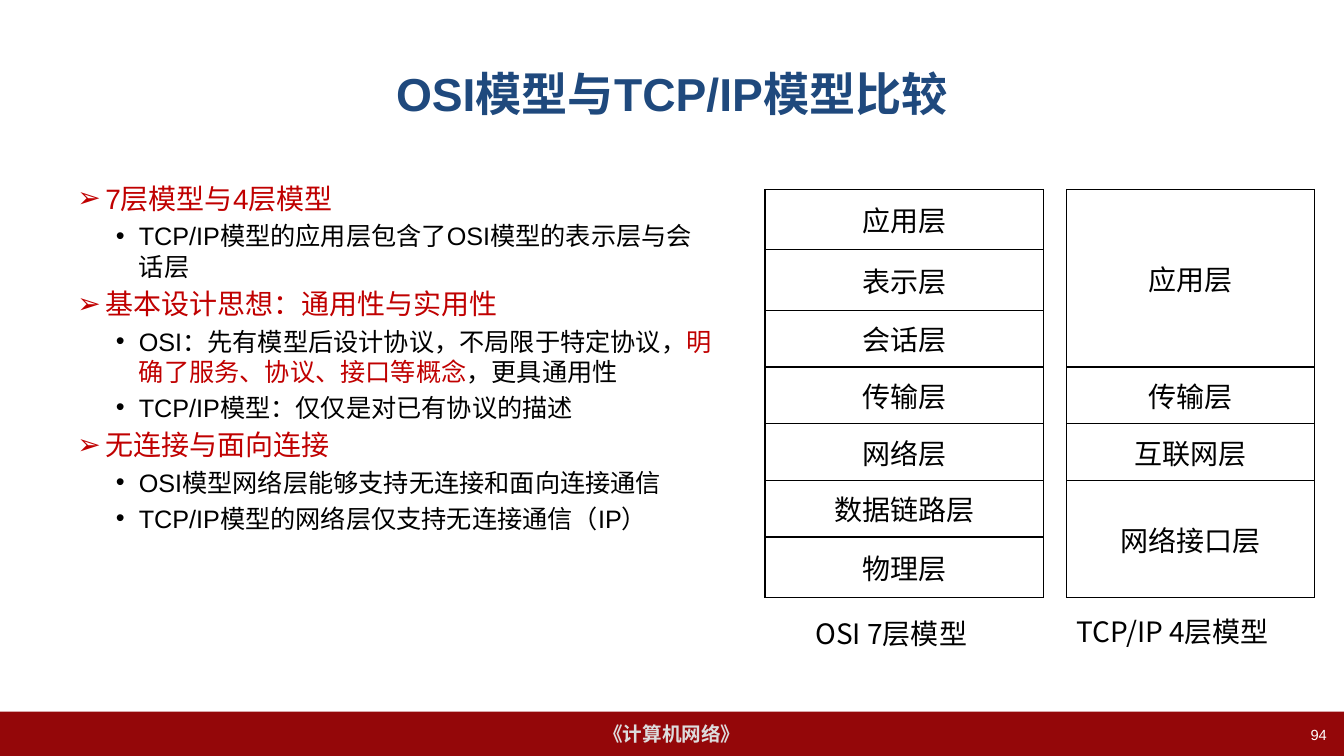
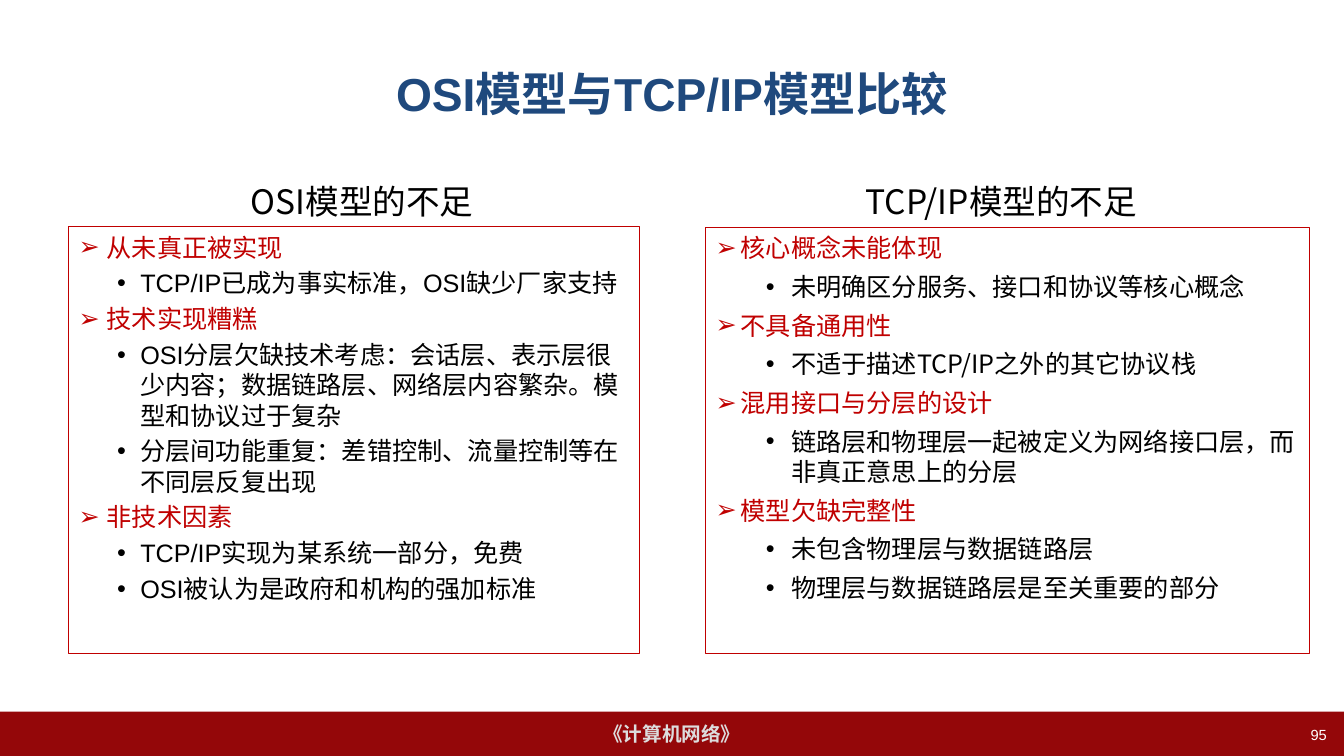
from dataclasses import dataclass
from typing import NamedTuple

from lxml.etree import SubElement
from pptx import Presentation
from pptx.dml.color import RGBColor
from pptx.enum.shapes import MSO_SHAPE
from pptx.enum.text import MSO_ANCHOR, MSO_AUTO_SIZE, PP_ALIGN
from pptx.oxml.ns import qn
from pptx.util import Pt

COLORS = {
    "band": "940709",
    "course": "DDDDDD",
    "title": "1F497D",
    "head": "C00000",
    "text": "000000",
    "page": "FFFFFF",
}
ARIAL = "Arial"
NOTO = "Noto Sans CJK SC"
WIDE, HIGH = 960, 540
LEAD = 1.2
TALL, LOW = 43.2, 40.5
TITLE = "OSI模型与TCP/IP模型比较"


class Box(NamedTuple):
    left: float
    top: float
    width: float
    height: float

    def pts(self) -> list:
        return [Pt(v) for v in self]


@dataclass
class Item:
    """A list line; text between bars is set in the head colour."""
    text: str
    level: int = 1


@dataclass
class Style:
    font: str
    sizes: tuple
    hang: tuple
    left: tuple
    gap: float


@dataclass
class Label:
    text: str
    box: Box
    size: float


@dataclass
class Stack:
    box: Box
    names: list
    rows: list


OUTLINE = Style(ARIAL, (20, 18), (20, 16.5), (20, 44), 4)
COMPACT = Style(ARIAL, (18, 18), (20, 16.5), (20, 44), 4)
ASIDE = Style(NOTO, (18, 18), (18, 18), (18, 54), 6)

COMPARE = [
    Item("7层模型与4层模型", 0),
    Item("TCP/IP模型的应用层包含了OSI模型的表示层与会话层"),
    Item("基本设计思想：通用性与实用性", 0),
    Item("OSI：先有模型后设计协议，不局限于特定协议，"
         "|明确了服务、协议、接口等概念|，更具通用性"),
    Item("TCP/IP模型：仅仅是对已有协议的描述"),
    Item("无连接与面向连接", 0),
    Item("OSI模型网络层能够支持无连接和面向连接通信"),
    Item("TCP/IP模型的网络层仅支持无连接通信（IP）"),
]
OSI_FLAWS = [
    Item("从未真正被实现", 0),
    Item("TCP/IP已成为事实标准，OSI缺少厂家支持"),
    Item("技术实现糟糕", 0),
    Item("OSI分层欠缺技术考虑：会话层、表示层很少内容；"
         "数据链路层、网络层内容繁杂。模型和协议过于复杂"),
    Item("分层间功能重复：差错控制、流量控制等在不同层反复出现"),
    Item("非技术因素", 0),
    Item("TCP/IP实现为某系统一部分，免费"),
    Item("OSI被认为是政府和机构的强加标准"),
]
TCP_FLAWS = [
    Item("核心概念未能体现", 0),
    Item("未明确区分服务、接口和协议等核心概念"),
    Item("不具备通用性", 0),
    Item("不适于描述TCP/IP之外的其它协议栈"),
    Item("混用接口与分层的设计", 0),
    Item("链路层和物理层一起被定义为网络接口层，而非真正意思上的分层"),
    Item("模型欠缺完整性", 0),
    Item("未包含物理层与数据链路层"),
    Item("物理层与数据链路层是至关重要的部分"),
]

OSI_ROWS = [TALL, TALL, LOW, LOW, LOW, LOW, TALL]
TCP_ROWS = [sum(OSI_ROWS[:3]), LOW, LOW, sum(OSI_ROWS[5:])]
STACKS = [
    Stack(Box(546.5, 135.3, 199, sum(OSI_ROWS)),
          ["应用层", "表示层", "会话层", "传输层", "网络层", "数据链路层", "物理层"],
          OSI_ROWS),
    Stack(Box(762, 135.3, 177, sum(TCP_ROWS)),
          ["应用层", "传输层", "互联网层", "网络接口层"], TCP_ROWS),
]
STACK_LABELS = [
    Label("OSI 7层模型", Box(575.3, 437, 170, 36), 20),
    Label("TCP/IP 4层模型", Box(762, 435.6, 170, 36), 20),
]
FLAW_LABELS = [
    Label("OSI模型的不足", Box(172, 126, 203, 36), 24),
    Label("TCP/IP模型的不足", Box(611.3, 126, 241.2, 36), 24),
]


def tint(key: str) -> RGBColor:
    return RGBColor.from_string(COLORS[key])


def dress(para, size: float, color: str, face: str = ARIAL,
          bold: bool = False) -> None:
    """Set the font of a whole paragraph, for Latin and Chinese text."""
    font = para.font
    font.size, font.bold = Pt(size), bold
    font.color.rgb = tint(color)
    font.name = face
    props = para._p.pPr.find(qn("a:defRPr"))
    SubElement(props, qn("a:ea")).set("typeface", NOTO)


def write(frame, text: str, size: float, color: str, face: str = ARIAL,
          align=PP_ALIGN.LEFT, bold: bool = False):
    para = frame.paragraphs[0]
    para.text = text
    para.alignment = align
    dress(para, size, color, face, bold)
    return para


def place(shape, box: Box) -> None:
    shape.left, shape.top, shape.width, shape.height = box.pts()


def add_band(slide, layout) -> None:
    """Draw the footer band and hand it to the layout."""
    band = slide.shapes.add_shape(
        MSO_SHAPE.RECTANGLE, *Box(0, 508.3, WIDE, 31.7).pts())
    band.shadow.inherit = False
    band.fill.solid()
    band.fill.fore_color.rgb = tint("band")
    band.line.fill.background()
    frame = band.text_frame
    frame.word_wrap = False
    frame.vertical_anchor = MSO_ANCHOR.MIDDLE
    write(frame, "《计算机网络》", 14, "course", align=PP_ALIGN.CENTER, bold=True)
    layout.shapes.element.append(band.element)


def add_page(deck, layout, number: int):
    slide = deck.slides.add_slide(layout)
    title = slide.shapes.title
    place(title, Box(48, 21.6, 864, 90))
    title.text_frame.vertical_anchor = MSO_ANCHOR.MIDDLE
    write(title.text_frame, TITLE, 33, "title",
          align=PP_ALIGN.CENTER, bold=True)
    page = slide.shapes.add_textbox(*Box(730.8, 514.8, 224, 25.2).pts())
    page.text_frame.word_wrap = True
    write(page.text_frame, str(number), 10.5, "page", align=PP_ALIGN.RIGHT)
    return slide


def add_label(slide, label: Label) -> None:
    frame = slide.shapes.add_textbox(*label.box.pts()).text_frame
    frame.word_wrap = True
    para = write(frame, label.text, label.size, "text", NOTO)
    para.line_spacing = Pt(label.size * LEAD)


def fill_list(shape, items: list[Item], style: Style) -> None:
    frame = shape.text_frame
    frame.word_wrap = True
    frame.auto_size = MSO_AUTO_SIZE.NONE
    frame.vertical_anchor = MSO_ANCHOR.TOP
    for pos, item in enumerate(items):
        para = frame.add_paragraph() if pos else frame.paragraphs[0]
        lev = item.level
        para.level = lev
        para.alignment = PP_ALIGN.LEFT
        para.space_before = Pt(style.gap if pos else 0)
        para.line_spacing = Pt(style.sizes[lev] * LEAD)
        props = para._p.get_or_add_pPr()
        props.set("marL", str(Pt(style.left[lev])))
        props.set("indent", str(-Pt(style.hang[lev])))
        SubElement(props, qn("a:buFont")).set("typeface", ARIAL)
        SubElement(props, qn("a:buChar")).set("char", "➢•"[lev])
        dress(para, style.sizes[lev], ("head", "text")[lev], style.font)
        for turn, part in enumerate(item.text.split("|")):
            run = para.add_run()
            run.text = part
            if turn % 2:
                run.font.color.rgb = tint("head")


def frame_box(shape) -> None:
    shape.line.color.rgb = tint("head")
    shape.line.width = Pt(0.5)


def add_edges(cell) -> None:
    props = cell._tc.get_or_add_tcPr()
    for side in "LRTB":
        edge = SubElement(props, qn(f"a:ln{side}"), w=str(Pt(1)))
        fill = SubElement(edge, qn("a:solidFill"))
        SubElement(fill, qn("a:srgbClr"), val=COLORS["text"])


def add_stack(slide, stack: Stack) -> None:
    table = slide.shapes.add_table(
        len(stack.rows), 1, *stack.box.pts()).table
    table.first_row = table.horz_banding = False
    for row, high, name in zip(table.rows, stack.rows, stack.names):
        row.height = Pt(high)
        cell = row.cells[0]
        add_edges(cell)
        cell.fill.background()
        cell.vertical_anchor = MSO_ANCHOR.MIDDLE
        write(cell.text_frame, name, 20, "text", NOTO, PP_ALIGN.CENTER)


def add_compare(slide) -> None:
    body = slide.placeholders[1]
    place(body, Box(48, 126, 468, 356.4))
    fill_list(body, COMPARE, OUTLINE)
    for stack in STACKS:
        add_stack(slide, stack)
    for label in STACK_LABELS:
        add_label(slide, label)


def add_flaws(slide) -> None:
    body = slide.placeholders[1]
    place(body, Box(49, 162, 407.5, 304.6))
    fill_list(body, OSI_FLAWS, COMPACT)
    frame_box(body)
    panel = slide.shapes.add_shape(
        MSO_SHAPE.RECTANGLE, *Box(504, 162.7, 431.3, 303.8).pts())
    panel.shadow.inherit = False
    panel.fill.background()
    fill_list(panel, TCP_FLAWS, ASIDE)
    frame_box(panel)
    for label in FLAW_LABELS:
        add_label(slide, label)


def main() -> None:
    deck = Presentation()
    deck.slide_width, deck.slide_height = Pt(WIDE), Pt(HIGH)
    layout = deck.slide_layouts[1]
    first = add_page(deck, layout, 94)
    add_band(first, layout)
    add_compare(first)
    add_flaws(add_page(deck, layout, 95))
    deck.save("out.pptx")


if __name__ == "__main__":
    main()
